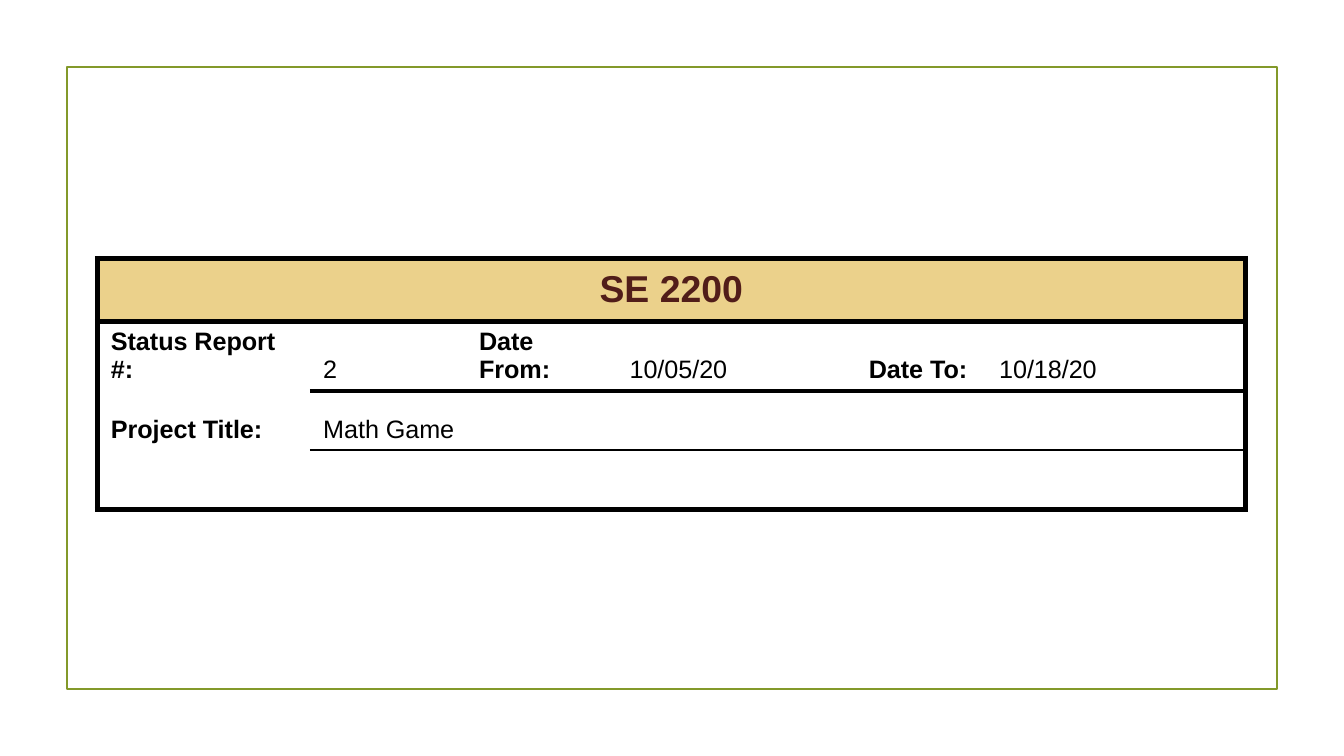
import pptx
import pptx.dml.color
import pptx.enum.shapes
import pptx.enum.text
import pptx.oxml
import pptx.oxml.ns
import pptx.util

OLIVE = pptx.dml.color.RGBColor(0x83, 0x99, 0x2A)
SAND = pptx.dml.color.RGBColor(0xEB, 0xD1, 0x8B)
MAROON = pptx.dml.color.RGBColor(0x51, 0x1D, 0x19)
BLACK = pptx.dml.color.RGBColor(0, 0, 0)

WIDTH = pptx.util.Inches(10)
HEIGHT = WIDTH * 9 // 16
UNIT = WIDTH // 100  # grid step: one hundredth of the slide's width

COLUMNS = [15.8, 11.6, 11.2, 17.8, 9.7, 19.3]  # in grid steps
ROWS = [4.7, 5.1, 4.4, 4.4]
# Points of the rule above each row, and below the last: (first column, others)
RULES = [(3, 3), (3, 3), (0, 3), (0, 1), (3, 3)]

TITLE = {"size": pptx.util.Pt(20), "bold": True, "color": MAROON}
LABEL = {"size": pptx.util.Pt(13.5), "bold": True, "color": BLACK}
VALUE = {**LABEL, "bold": False}

# (row, column, wording, format)
ENTRIES = [
    (0, 0, "SE 2200", TITLE),
    (1, 0, "Status Report #:", LABEL),
    (1, 1, "2", VALUE),
    (1, 2, "Date From:", LABEL),
    (1, 3, "10/05/20", VALUE),
    (1, 4, "Date To:", LABEL),
    (1, 5, "10/18/20", VALUE),
    (2, 0, "Project Title:", LABEL),
    (2, 1, "Math Game", VALUE),
]


def add_frame(slide, left, top, width, height):
    frame = slide.shapes.add_shape(
        pptx.enum.shapes.MSO_SHAPE.RECTANGLE, left, top, width, height)
    frame.shadow.inherit = False
    frame.fill.background()
    frame.line.color.rgb = OLIVE
    frame.line.width = pptx.util.Pt(1.25)


def set_borders(cell, weights):
    """Rule the cell's edges; a weight of 0 leaves an edge bare."""
    properties = cell._tc.get_or_add_tcPr()
    for edge, points in weights.items():
        paint = (f'<a:solidFill><a:srgbClr val="{BLACK}"/></a:solidFill>'
                 if points else "<a:noFill/>")
        properties.append(pptx.oxml.parse_xml(
            f'<a:ln{edge} {pptx.oxml.ns.nsdecls("a")} '
            f'w="{pptx.util.Pt(points)}">{paint}</a:ln{edge}>'))


def write(cell, wording, style):
    cell.text = wording
    font = cell.text_frame.paragraphs[0].runs[0].font
    font.name = "Arial"
    for key, value in style.items():
        if key == "color":
            font.color.rgb = value
        else:
            setattr(font, key, value)


def add_report_table(slide, left, top, width, height):
    report = slide.shapes.add_table(
        len(ROWS), len(COLUMNS), left, top, width, height).table
    report.first_row = report.horz_banding = False
    for column, share in zip(report.columns, COLUMNS):
        column.width = int(width * share / sum(COLUMNS))
    for row, share in zip(report.rows, ROWS):
        row.height = int(height * share / sum(ROWS))

    # Cells that run to the right edge
    last = len(COLUMNS) - 1
    for r, c in [(0, 0), (2, 1), (3, 1)]:
        report.cell(r, c).merge(report.cell(r, last))

    # Rules and fills
    for r in range(len(ROWS)):
        for c in range(len(COLUMNS)):
            cell = report.cell(r, c)
            reaches_edge = c == last or cell.is_merge_origin
            set_borders(cell, {
                "L": 3 if c == 0 else 0,
                "R": 3 if reaches_edge else 0,
                "T": RULES[r][c > 0],
                "B": RULES[r + 1][c > 0],
            })
            cell.fill.background()
            cell.vertical_anchor = pptx.enum.text.MSO_ANCHOR.BOTTOM

    # Wording
    for r, c, wording, style in ENTRIES:
        write(report.cell(r, c), wording, style)

    # Title band
    title = report.cell(0, 0)
    title.fill.solid()
    title.fill.fore_color.rgb = SAND
    title.vertical_anchor = pptx.enum.text.MSO_ANCHOR.MIDDLE
    title.text_frame.paragraphs[0].alignment = pptx.enum.text.PP_ALIGN.CENTER


def main():
    deck = pptx.Presentation()
    deck.slide_width, deck.slide_height = WIDTH, HEIGHT
    slide = deck.slides.add_slide(deck.slide_layouts[6])
    margin = 5 * UNIT
    add_frame(slide, margin, margin, WIDTH - 2 * margin, HEIGHT - 2 * margin)
    add_report_table(slide, int(7.25 * UNIT), int(19.22 * UNIT),
                     int(sum(COLUMNS) * UNIT), int(sum(ROWS) * UNIT))
    deck.save("out.pptx")


if __name__ == "__main__":
    main()
